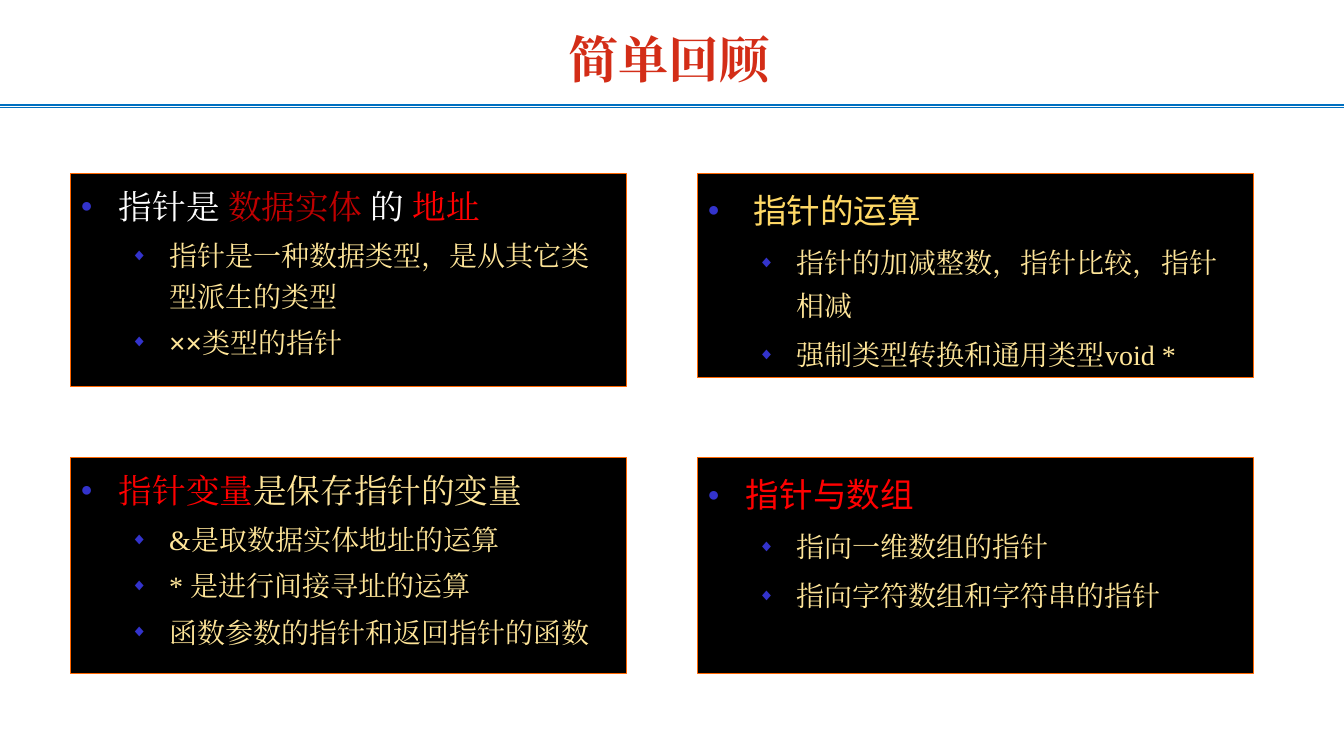
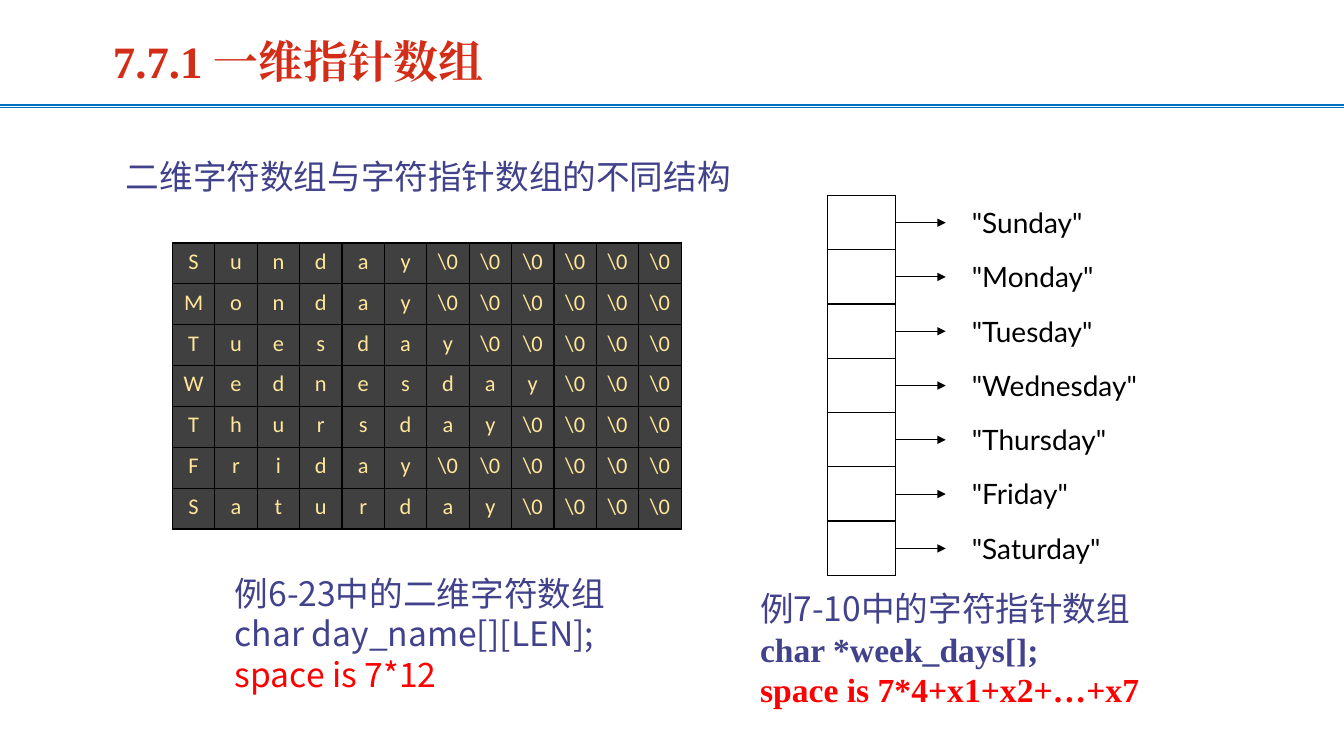
"""Build two slides on pointers: a review page and one-dimensional pointer arrays."""
from lxml.etree import SubElement
from pptx import Presentation
from pptx.dml.color import RGBColor
from pptx.enum.shapes import MSO_CONNECTOR, MSO_SHAPE
from pptx.enum.text import MSO_ANCHOR, PP_ALIGN
from pptx.oxml.ns import qn
from pptx.util import Emu, Pt

PIXEL = 9144
SERIF, SANS, LATIN, PLAIN = "Times New Roman", "Noto Sans CJK SC", "Lato", "Arial"
TABLE_FACE = "Calibri"
TITLE_RED, RULE_BLUE, BULLET_BLUE, INDIGO = "D32D17", "0070C0", "3333CC", "41418C"
RED, DARK_RED, WHITE, BLACK = "FF0000", "C00000", "FFFFFF", "000000"
CREAM, GOLD, ORANGE, CHARCOAL = "FFE699", "FFD966", "FF6600", "404040"
LINE_HEIGHT = 1.19

RULES = [(107, 0.5), (104, 1.5)]

REVIEW_TITLE = "简单回顾"
REVIEW_PANELS = [
    {
        "at": (70, 172, 551, 211), "spacing": 1.2, "indent": 38, "face": SERIF,
        "heading": [("指针是 ", WHITE), ("数据实体", DARK_RED), (" 的 ", WHITE), ("地址", RED)],
        "items": [
            [("指针是一种数据类型，是从其它类型派生的类型", CREAM)],
            [("××", CREAM, PLAIN), ("类型的指针", CREAM)],
        ],
    },
    {
        "at": (692, 172, 551, 203), "spacing": 1.3, "indent": 45, "face": SANS,
        "heading": [("指针的运算", GOLD)],
        "items": [
            [("指针的加减整数，指针比较，指针相减", CREAM)],
            [("强制类型转换和通用类型void *", CREAM)],
        ],
    },
    {
        "at": (70, 454, 551, 214), "spacing": 1.2, "indent": 38, "face": SERIF,
        "heading": [("指针变量", RED), ("是保存指针的变量", CREAM)],
        "items": [
            [("&是取数据实体地址的运算", CREAM)],
            [("* 是进行间接寻址的运算", CREAM)],
            [("函数参数的指针和返回指针的函数", CREAM)],
        ],
    },
    {
        "at": (692, 454, 551, 214), "spacing": 1.3, "indent": 38, "face": SANS,
        "heading": [("指针与数组", RED)],
        "items": [
            [("指向一维数组的指针", CREAM)],
            [("指向字符数组和字符串的指针", CREAM)],
        ],
    },
]

ARRAY_TITLE = "7.7.1 一维指针数组"
DAYS = ["Sunday", "Monday", "Tuesday", "Wednesday", "Thursday", "Friday", "Saturday"]
NAME_LENGTH = 12
LETTERS_AT = (171, 241, 505, 284)
POINTERS_AT = (821, 194, 67, 377)
ARROW_LENGTH, LABEL_LEFT, LABEL_WIDTH, LABEL_HEIGHT = 50, 954, 195, 44
CAPTIONS = [
    ((115, 149, 640, 51), [("二维字符数组与字符指针数组的不同结构", INDIGO, SANS, False)]),
    ((223, 563, 398, 171), [
        ("例6-23中的二维字符数组", INDIGO, SANS, False),
        ("char day_name[][LEN];", INDIGO, SANS, False),
        ("space is 7*12", RED, SANS, False),
    ]),
    ((744, 578, 398, 171), [
        ("例7-10中的字符指针数组", INDIGO, SANS, False),
        ("char *week_days[];", INDIGO, SERIF, True),
        ("space is 7*4+x1+x2+…+x7", RED, SERIF, True),
    ]),
]


def px(length):
    return Emu(round(length * PIXEL))


def rgb(value):
    return RGBColor.from_string(value)


def style(paragraph, size, color, face, bold=False):
    font = paragraph.font
    font.size, font.bold, font.name = Pt(size), bold, face
    font.color.rgb = rgb(color)
    defaults = paragraph._p.pPr.find(qn("a:defRPr"))
    SubElement(defaults, qn("a:ea")).set("typeface", face)


def set_leading(paragraph, size, spacing=1.0):
    paragraph.line_spacing = Pt(round(size * LINE_HEIGHT * spacing))


def add_paragraph(frame, index):
    return frame.add_paragraph() if index else frame.paragraphs[0]


def add_bullet(paragraph, mark, margin, hanging):
    properties = paragraph._p.get_or_add_pPr()
    properties.set("marL", str(px(margin)))
    properties.set("indent", str(-px(hanging)))
    color = SubElement(properties, qn("a:buClr"))
    SubElement(color, qn("a:srgbClr")).set("val", BULLET_BLUE)
    SubElement(properties, qn("a:buSzPct")).set("val", "60000")
    SubElement(properties, qn("a:buFont")).set("typeface", PLAIN)
    SubElement(properties, qn("a:buChar")).set("char", mark)


def add_line(slide, start, end, color, width, arrow=False):
    line = slide.shapes.add_connector(MSO_CONNECTOR.STRAIGHT, *map(px, start + end))
    line.line.color.rgb = rgb(color)
    line.line.width = Pt(width)
    properties = line.element.spPr
    SubElement(properties, qn("a:effectLst"))
    if arrow:
        SubElement(properties.find(qn("a:ln")), qn("a:tailEnd")).set("type", "triangle")
    return line


def move_rules_to_layout(slide):
    for number, (top, width) in enumerate(RULES):
        line = add_line(slide, (-2, top), (1334, top), RULE_BLUE, width)
        line.element.nvCxnSpPr.cNvPr.set("id", str(100 + number))
        slide.slide_layout.shapes.element.append(line.element)


def add_titled_slide(deck, text, at, size, alignment):
    slide = deck.slides.add_slide(deck.slide_layouts[5])
    title = slide.shapes.title
    title.left, title.top, title.width, title.height = map(px, at)
    title.text_frame.text = text
    title.text_frame.vertical_anchor = MSO_ANCHOR.BOTTOM
    paragraph = title.text_frame.paragraphs[0]
    paragraph.alignment = alignment
    style(paragraph, size, TITLE_RED, SERIF, True)
    return slide


def add_panel(slide, panel):
    box = slide.shapes.add_shape(MSO_SHAPE.RECTANGLE, *map(px, panel["at"]))
    box.shadow.inherit = False
    box.fill.solid()
    box.fill.fore_color.rgb = rgb(BLACK)
    box.line.color.rgb = rgb(ORANGE)
    box.line.width = Pt(0.75)
    frame = box.text_frame
    frame.word_wrap = True
    frame.vertical_anchor = MSO_ANCHOR.TOP
    for index, spans in enumerate([panel["heading"]] + panel["items"]):
        paragraph = add_paragraph(frame, index)
        paragraph.alignment = PP_ALIGN.LEFT
        size, face = (20, SERIF) if index else (24, panel["face"])
        if index:
            paragraph.level = 1
            paragraph.space_before = Pt(4)
            add_bullet(paragraph, "◆", 88, 38)
        else:
            add_bullet(paragraph, "●", panel["indent"], panel["indent"])
        set_leading(paragraph, size, panel["spacing"])
        base_color = spans[0][1]
        style(paragraph, size, base_color, face)
        for text, color, *special_face in spans:
            span = paragraph.add_run()
            span.text = text
            if color != base_color:
                span.font.color.rgb = rgb(color)
            if special_face:
                span.font.name = special_face[0]


def add_text(slide, at, lines, size, leading=True):
    frame = slide.shapes.add_textbox(*map(px, at)).text_frame
    frame.word_wrap = True
    for index, (text, color, face, bold) in enumerate(lines):
        paragraph = add_paragraph(frame, index)
        paragraph.text = text
        if leading:
            set_leading(paragraph, size)
        style(paragraph, size, color, face, bold)


def add_borders(cell):
    properties = cell._tc.get_or_add_tcPr()
    for position, side in enumerate(("lnL", "lnR", "lnT", "lnB")):
        border = properties.makeelement(qn(f"a:{side}"), {"w": str(Pt(1))})
        fill = SubElement(border, qn("a:solidFill"))
        SubElement(fill, qn("a:srgbClr")).set("val", BLACK)
        properties.insert(position, border)


def add_grid(slide, at, rows, fill=None):
    width, height = at[2:]
    table = slide.shapes.add_table(len(rows), len(rows[0]), *map(px, at)).table
    table.first_row = table.horz_banding = False
    for column in table.columns:
        column.width = px(width / len(rows[0]))
    for row, texts in zip(table.rows, rows):
        row.height = px(height / len(rows))
        for cell, text in zip(row.cells, texts):
            if fill:
                cell.fill.solid()
                cell.fill.fore_color.rgb = rgb(fill)
            else:
                cell.fill.background()
            add_borders(cell)
            if text:
                cell.text = text
                paragraph = cell.text_frame.paragraphs[0]
                paragraph.alignment = PP_ALIGN.CENTER
                style(paragraph, 16, CREAM, TABLE_FACE)


def add_pointers(slide):
    left, top, width, height = POINTERS_AT
    add_grid(slide, POINTERS_AT, [[""] for _ in DAYS])
    step = height / len(DAYS)
    start = left + width
    for index, day in enumerate(DAYS):
        middle = top + step * (index + 0.5)
        add_line(slide, (start, middle), (start + ARROW_LENGTH, middle), BLACK, 0.75, True)
        label_at = (LABEL_LEFT, middle - LABEL_HEIGHT / 2, LABEL_WIDTH, LABEL_HEIGHT)
        add_text(slide, label_at, [(f'"{day}"', BLACK, LATIN, False)], 20, False)


def main():
    deck = Presentation()
    deck.slide_width, deck.slide_height = px(1333), px(750)

    review = add_titled_slide(deck, REVIEW_TITLE, (326, 31, 675, 62), 36, PP_ALIGN.CENTER)
    move_rules_to_layout(review)
    for panel in REVIEW_PANELS:
        add_panel(review, panel)

    arrays = add_titled_slide(deck, ARRAY_TITLE, (102, 29, 900, 63), 32, PP_ALIGN.LEFT)
    letters = [list(day) + [r"\0"] * (NAME_LENGTH - len(day)) for day in DAYS]
    add_grid(arrays, LETTERS_AT, letters, CHARCOAL)
    add_pointers(arrays)
    for at, lines in CAPTIONS:
        add_text(arrays, at, lines, 24)

    deck.save("out.pptx")


if __name__ == "__main__":
    main()
